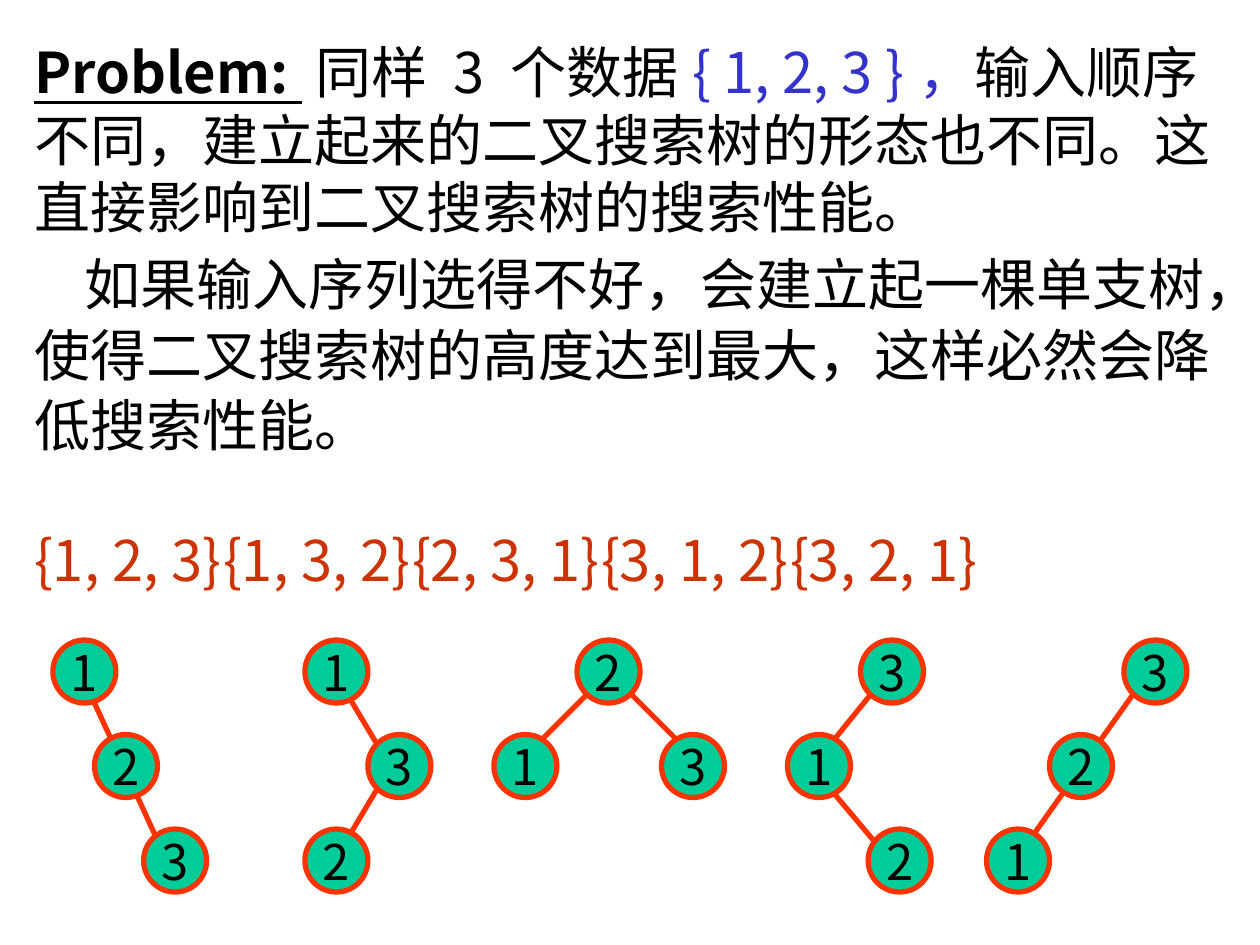
import dataclasses

import pptx
import pptx.dml.color
import pptx.enum.shapes
import pptx.enum.text
import pptx.oxml
import pptx.oxml.ns
import pptx.util

Inches = pptx.util.Inches
Point = tuple[float, float]


@dataclasses.dataclass(frozen=True)
class Theme:
    font: str = "Noto Sans CJK SC"
    text: str = "000000"
    data_set: str = "3333CC"
    sequence: str = "CC3300"
    node_fill: str = "00CC99"
    node_line: str = "FF3300"
    body_size: int = 32
    node_size: int = 28
    line_width: int = 3


@dataclasses.dataclass(frozen=True)
class Node:
    value: int
    left: float
    level: int


@dataclasses.dataclass(frozen=True)
class Tree:
    sequence: str
    tab: float
    nodes: tuple[Node, ...]
    edges: tuple[tuple[Point, Point], ...]


THEME = Theme()
TOP_LEVEL = 5.08
LEVEL_STEP = 0.75
NODE_DIAMETER = 0.5

TREES = (
    Tree("{1, 2, 3}", 0,
         (Node(1, 0.42, 0), Node(2, 0.75, 1), Node(3, 1.14, 2)),
         (((0.75, 5.58), (1.25, 6.67)),)),
    Tree("{1, 3, 2}", 1.79,
         (Node(1, 2.42, 0), Node(3, 2.92, 1), Node(2, 2.42, 2)),
         (((2.75, 5.5), (3, 5.92)), ((2.75, 6.67), (3, 6.25)))),
    Tree("{2, 3, 1}", 3.78,
         (Node(2, 4.58, 0), Node(1, 3.92, 1), Node(3, 5.25, 1)),
         (((4.67, 5.5), (4.25, 5.92)), ((5, 5.5), (5.42, 5.92)))),
    Tree("{3, 1, 2}", 5.76,
         (Node(3, 6.83, 0), Node(1, 6.25, 1), Node(2, 6.89, 2)),
         (((6.92, 5.5), (6.58, 5.92)), ((6.58, 6.25), (7, 6.75)))),
    Tree("{3, 2, 1}", 7.65,
         (Node(3, 8.92, 0), Node(2, 8.33, 1), Node(1, 7.83, 2)),
         (((9, 5.5), (8.17, 6.67)),)),
)


def rgb(color: str) -> pptx.dml.color.RGBColor:
    return pptx.dml.color.RGBColor.from_string(color)


def add_text(paragraph, text: str, *, size: int = THEME.body_size, color: str = THEME.text,
             bold: bool = False, underline: bool = False) -> None:
    run = paragraph.add_run()
    run.text = text
    font = run.font
    font.name = THEME.font
    font.size = pptx.util.Pt(size)
    font.bold = bold
    font.underline = underline
    font.color.rgb = rgb(color)
    east_asian = pptx.oxml.parse_xml(
        f'<a:ea {pptx.oxml.ns.nsdecls("a")} typeface="{THEME.font}"/>')
    font._element.find(pptx.oxml.ns.qn("a:latin")).addnext(east_asian)


def format_paragraph(paragraph, *, indent: float = 0, before: float = 0,
                     spacing: float = 1.0, tabs: tuple[float, ...] = ()) -> None:
    paragraph.alignment = pptx.enum.text.PP_ALIGN.LEFT
    paragraph.line_spacing = spacing
    paragraph.space_before = pptx.util.Pt(before)
    paragraph.space_after = pptx.util.Pt(0)
    properties = paragraph._p.get_or_add_pPr()
    properties.set("marL", "0")
    properties.set("indent", str(Inches(indent)))
    namespace = pptx.oxml.ns.nsdecls("a")
    properties.append(pptx.oxml.parse_xml(f"<a:buNone {namespace}/>"))
    if tabs:
        stops = "".join(f'<a:tab pos="{Inches(tab)}" algn="l"/>' for tab in tabs)
        properties.append(pptx.oxml.parse_xml(f"<a:tabLst {namespace}>{stops}</a:tabLst>"))


def fill_body(body) -> None:
    body.left, body.top = Inches(0.17), Inches(0.25)
    body.width, body.height = Inches(9.83), Inches(4.54)
    frame = body.text_frame
    frame.word_wrap = True
    frame.auto_size = pptx.enum.text.MSO_AUTO_SIZE.NONE
    frame.vertical_anchor = pptx.enum.text.MSO_ANCHOR.TOP

    problem = frame.paragraphs[0]
    format_paragraph(problem)
    add_text(problem, "Problem: ", bold=True, underline=True)
    add_text(problem, "同样 3 个数据")
    add_text(problem, "{ 1, 2, 3 }，", color=THEME.data_set)
    add_text(problem, "输入顺序不同，建立起来的二叉搜索树的形态也不同。这直接影响到二叉搜索树的搜索性能。")

    consequence = frame.add_paragraph()
    format_paragraph(consequence, indent=0.4, before=4, spacing=1.05)
    add_text(consequence, "如果输入序列选得不好，会建立起一棵单支树，使得二叉搜索树的高度达到最大，这样必然会降低搜索性能。")

    sequences = frame.add_paragraph()
    format_paragraph(sequences, before=38.4, tabs=tuple(tree.tab for tree in TREES[1:]))
    add_text(sequences, "\t".join(tree.sequence for tree in TREES), color=THEME.sequence)


def style_line(line) -> None:
    line.color.rgb = rgb(THEME.node_line)
    line.width = pptx.util.Pt(THEME.line_width)


def draw_edge(slide, start: Point, end: Point) -> None:
    connector = slide.shapes.add_connector(
        pptx.enum.shapes.MSO_CONNECTOR.STRAIGHT,
        *(Inches(value) for value in (*start, *end)))
    style_line(connector.line)
    connector._element.spPr.append(
        pptx.oxml.parse_xml(f'<a:effectLst {pptx.oxml.ns.nsdecls("a")}/>'))


def draw_node(slide, node: Node) -> None:
    shape = slide.shapes.add_shape(
        pptx.enum.shapes.MSO_SHAPE.OVAL, Inches(node.left),
        Inches(TOP_LEVEL + node.level * LEVEL_STEP),
        Inches(NODE_DIAMETER), Inches(NODE_DIAMETER))
    shape.shadow.inherit = False
    shape.fill.solid()
    shape.fill.fore_color.rgb = rgb(THEME.node_fill)
    style_line(shape.line)
    frame = shape.text_frame
    frame.word_wrap = False
    frame.vertical_anchor = pptx.enum.text.MSO_ANCHOR.MIDDLE
    paragraph = frame.paragraphs[0]
    paragraph.alignment = pptx.enum.text.PP_ALIGN.CENTER
    add_text(paragraph, str(node.value), size=THEME.node_size)


def draw_tree(slide, tree: Tree) -> None:
    for start, end in tree.edges:
        draw_edge(slide, start, end)
    for node in tree.nodes:
        draw_node(slide, node)


def main() -> None:
    presentation = pptx.Presentation()
    presentation.slide_width = Inches(10)
    presentation.slide_height = Inches(7.5)
    slide = presentation.slides.add_slide(presentation.slide_layouts[1])
    title = slide.shapes.title._element
    title.getparent().remove(title)
    fill_body(slide.placeholders[1])
    for tree in TREES:
        draw_tree(slide, tree)
    presentation.save("out.pptx")


if __name__ == "__main__":
    main()
